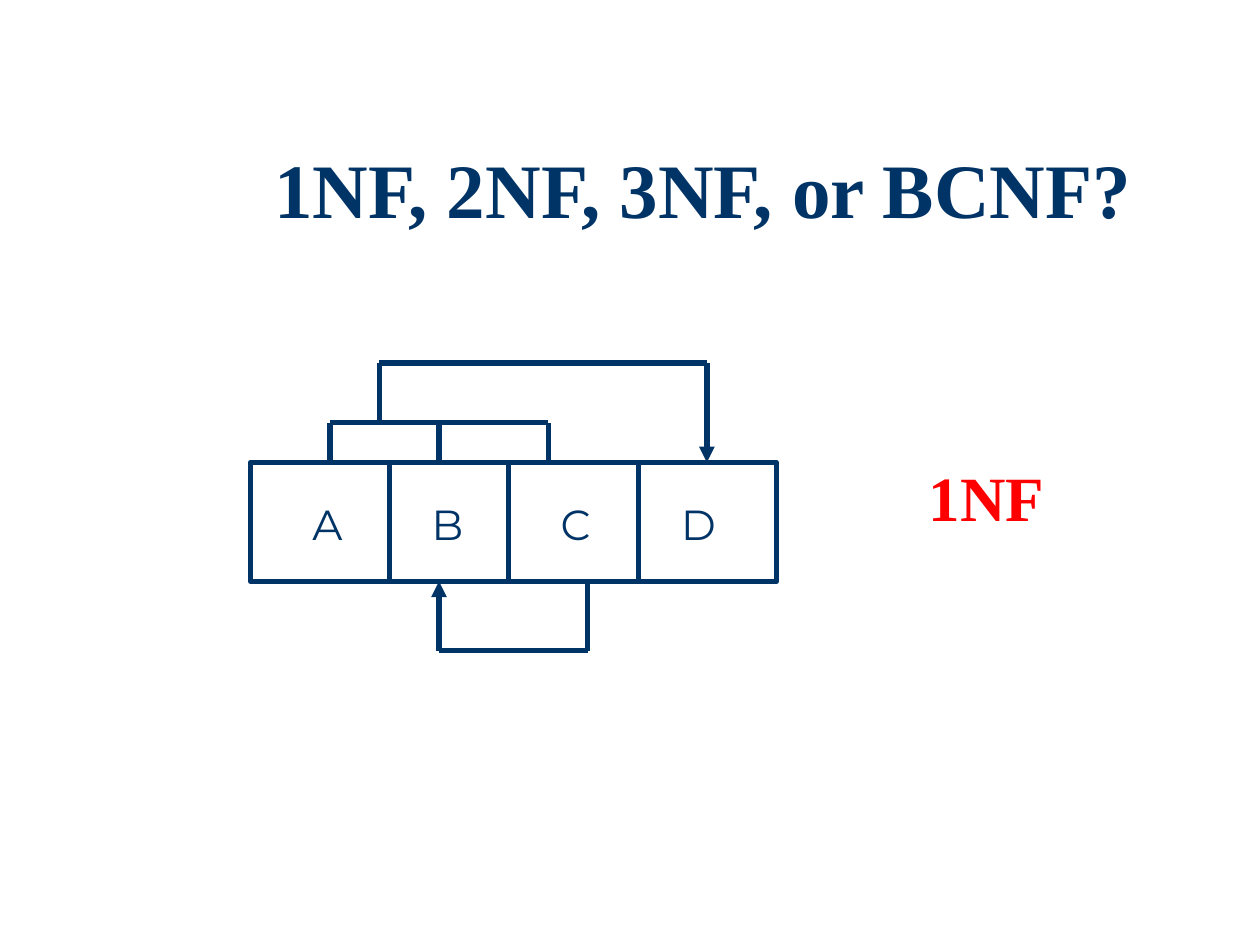
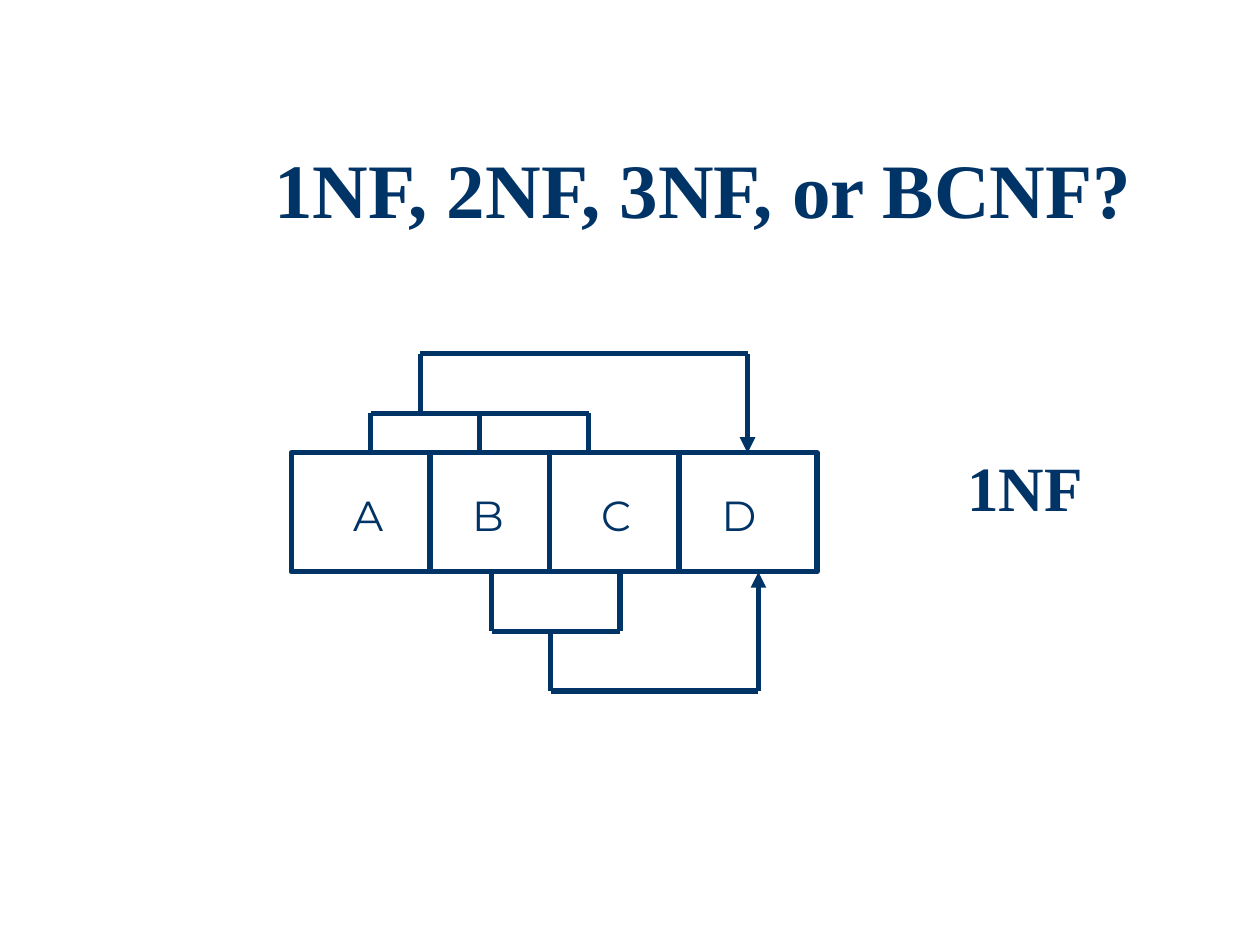
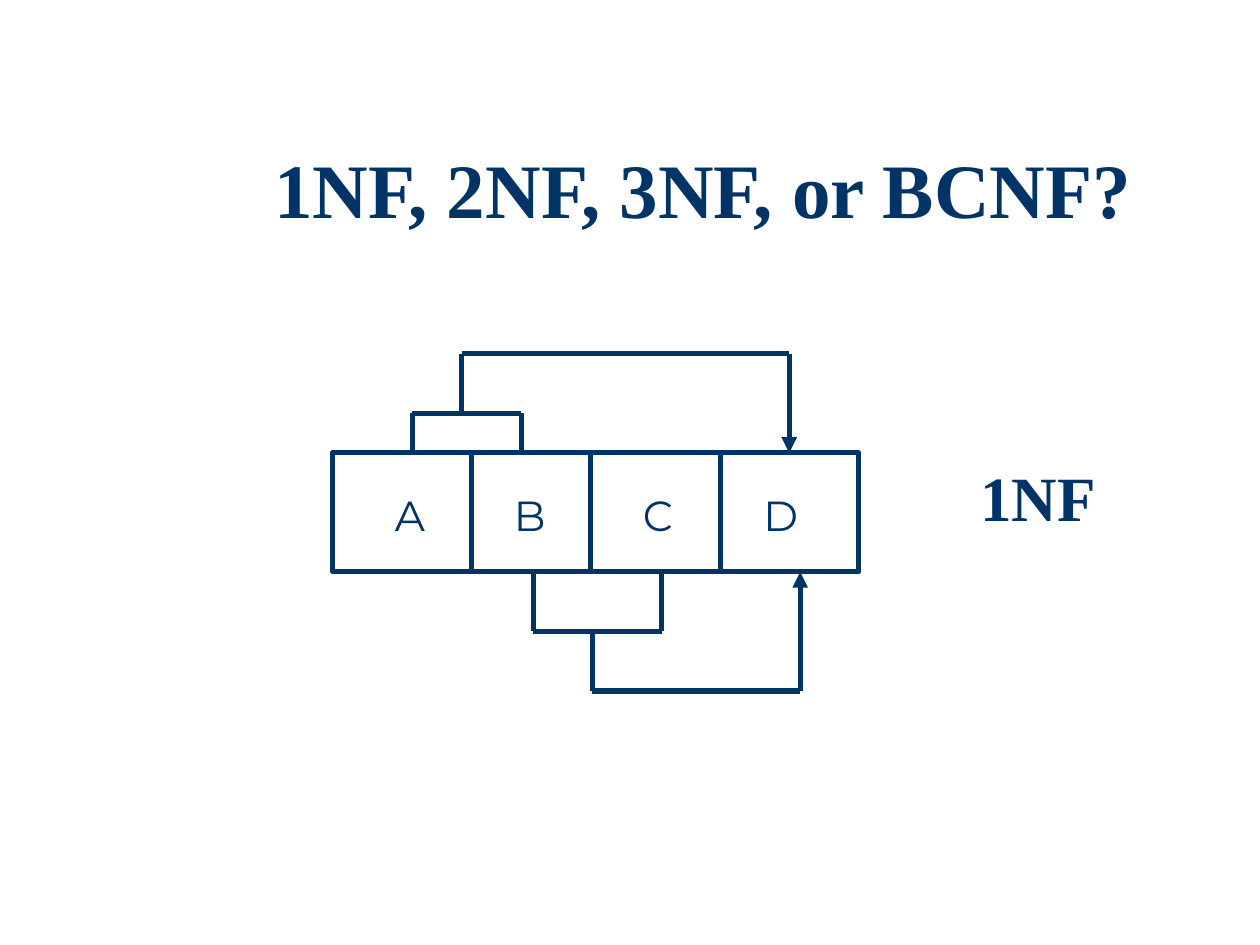
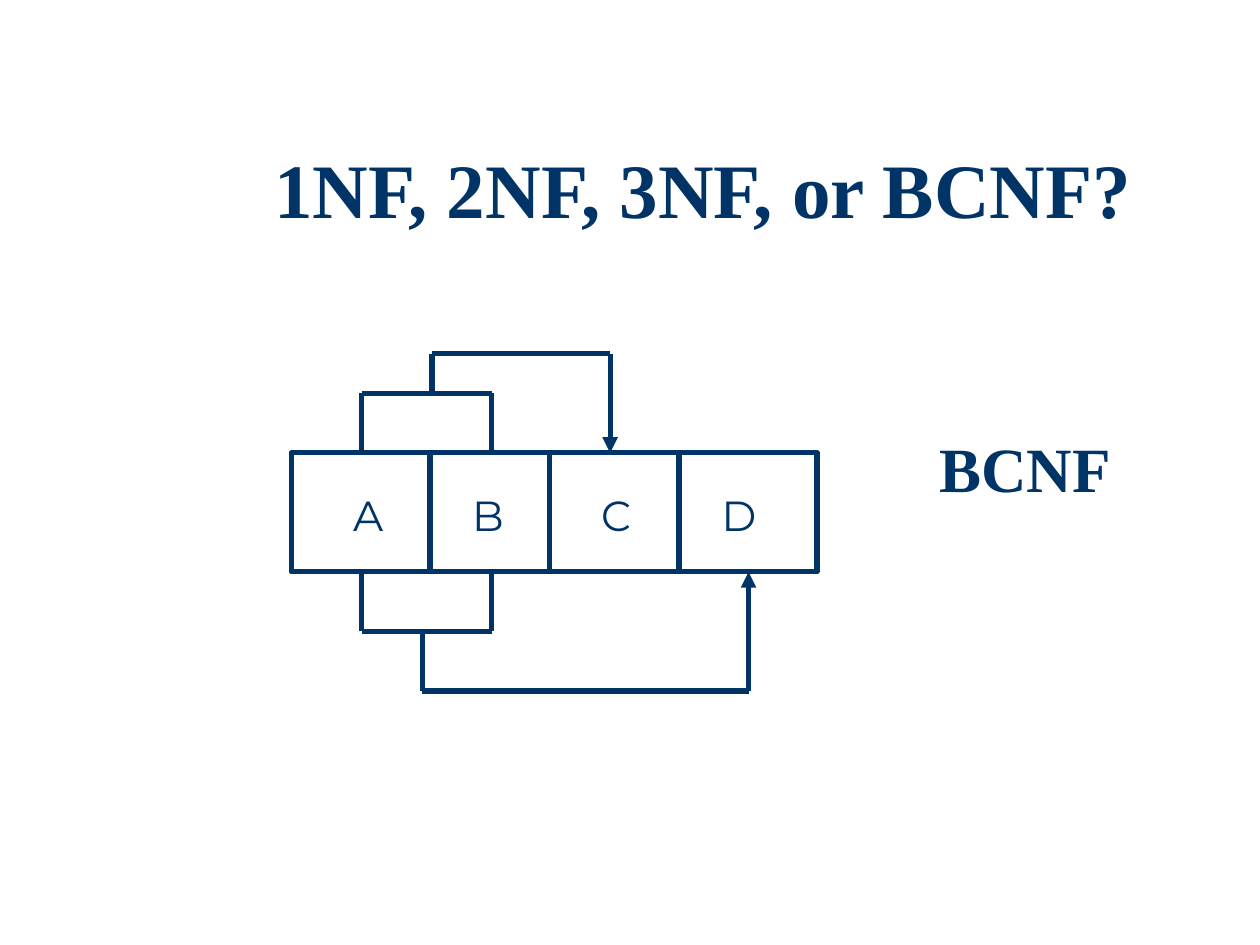
from lxml.etree import SubElement
from pptx import Presentation
from pptx.dml.color import RGBColor
from pptx.enum.shapes import MSO_CONNECTOR as Connector, MSO_SHAPE as Shape
from pptx.enum.text import MSO_ANCHOR as Anchor, MSO_AUTO_SIZE as AutoSize, PP_ALIGN as Align
from pptx.oxml.ns import qn
from pptx.util import Cm, Pt

NAVY, RED, WHITE = "003366", "FF0000", "FFFFFF"
SERIF, SANS = "Times New Roman", "Montserrat"
TITLE = "1NF, 2NF, 3NF, or BCNF?"
TITLE_ONLY = 5

# Relation geometry in cm; x offsets are measured from the relation's left side.
RELATION_WIDTH, RELATION_HEIGHT = 10.6, 2.4
DIVIDERS = (2.8, 5.2, 7.82)
ATTRIBUTES = {"A": 1.0, "B": 3.4, "C": 6.0, "D": 8.43}


def color(hex_code):
    return RGBColor.from_string(hex_code)


def style_runs(paragraph, font_name, size, hex_code, bold=False):
    for run in paragraph.runs:
        run.font.name = font_name
        run.font.size = Pt(size)
        run.font.bold = bold
        run.font.color.rgb = color(hex_code)


def add_title(slide):
    title = slide.shapes.title
    title.left, title.top, title.width, title.height = Cm(4.01), Cm(2.74), Cm(20.32), Cm(2.34)
    frame = title.text_frame
    frame.text = TITLE
    frame.vertical_anchor = Anchor.MIDDLE
    heading = frame.paragraphs[0]
    heading.alignment = Align.CENTER
    heading.line_spacing = 0.9
    style_runs(heading, SERIF, 44, NAVY, bold=True)


def add_label(slide, text, left, top, width, height, font_name, size, hex_code, bold=False):
    label = slide.shapes.add_textbox(Cm(left), Cm(top), Cm(width), Cm(height))
    frame = label.text_frame
    frame.text = text
    frame.word_wrap = False
    frame.auto_size = AutoSize.SHAPE_TO_FIT_TEXT
    style_runs(frame.paragraphs[0], font_name, size, hex_code, bold)


def add_line(slide, start, end, arrow=False):
    line = slide.shapes.add_connector(Connector.STRAIGHT, *map(Cm, (*start, *end)))
    line.line.color.rgb = color(NAVY)
    line.line.width = Pt(3)
    if arrow:
        SubElement(line.line._get_or_add_ln(), qn("a:tailEnd"), type="triangle")
    SubElement(line._element.spPr, qn("a:effectLst"))


def add_relation(slide, left, top):
    """Draw the box of attributes A to D."""
    relation = slide.shapes.add_shape(
        Shape.RECTANGLE, Cm(left), Cm(top), Cm(RELATION_WIDTH), Cm(RELATION_HEIGHT))
    relation.shadow.inherit = False
    relation.fill.solid()
    relation.fill.fore_color.rgb = color(WHITE)
    relation.line.color.rgb = color(NAVY)
    relation.line.width = Pt(3)
    for offset in DIVIDERS:
        add_line(slide, (left + offset, top), (left + offset, top + RELATION_HEIGHT))
    for name, offset in ATTRIBUTES.items():
        add_label(slide, name, left + offset, top + 0.61, 1.17, 1.27, SANS, 24, NAVY)


def add_dependency(slide, left, top, side, sources, stem, target, bar, turn):
    """Join the sources by a bar, then lead from the stem to the target.

    bar and turn are distances from the relation's edge on the given side.
    """
    edge, direction = (top, -1) if side == "above" else (top + RELATION_HEIGHT, 1)
    bar_y, turn_y = edge + direction * bar, edge + direction * turn
    xs = [left + source for source in sources]
    stem_x, target_x = left + stem, left + target
    if bar:
        for x in xs:
            add_line(slide, (x, edge), (x, bar_y))
        add_line(slide, (xs[0], bar_y), (xs[-1], bar_y))
    add_line(slide, (stem_x, bar_y), (stem_x, turn_y))
    add_line(slide, (stem_x, turn_y), (target_x, turn_y))
    add_line(slide, (target_x, turn_y), (target_x, edge), arrow=True)


ABC_TO_D = ("above", (1.6, 3.8, 6.0), 2.6, 9.2, 0.8, 2.0)
AB_TO_D = ("above", (1.6, 3.8), 2.6, 9.2, 0.8, 2.0)
AB_TO_C = ("above", (1.42, 4.04), 2.84, 6.43, 1.2, 2.0)
C_TO_B = ("below", (6.8,), 6.8, 3.8, 0, 1.4)
BC_TO_D = ("below", (4.04, 6.63), 5.23, 9.42, 1.2, 2.4)
AB_TO_D_BELOW = ("below", (1.42, 4.04), 2.64, 9.22, 1.2, 2.4)

# Relation position, dependencies, then the answer: text, left, top, width, colour.
EXERCISES = (
    ((5.05, 9.32), (ABC_TO_D, C_TO_B), ("1NF", 18.47, 9.12, 2.84, RED)),
    ((5.87, 9.13), (ABC_TO_D, BC_TO_D), ("1NF", 19.25, 8.92, 2.84, NAVY)),
    ((6.71, 9.13), (AB_TO_D, BC_TO_D), ("1NF", 19.51, 9.12, 2.84, NAVY)),
    ((5.87, 9.13), (AB_TO_C, AB_TO_D_BELOW), ("BCNF", 18.69, 8.53, 3.96, NAVY)),
)


def main():
    deck = Presentation()
    deck.slide_width, deck.slide_height = Cm(25.4), Cm(19.05)
    for position, dependencies, (answer, left, top, width, hex_code) in EXERCISES:
        slide = deck.slides.add_slide(deck.slide_layouts[TITLE_ONLY])
        slide.background.fill.solid()
        slide.background.fill.fore_color.rgb = color(WHITE)
        add_title(slide)
        add_relation(slide, *position)
        for dependency in dependencies:
            add_dependency(slide, *position, *dependency)
        add_label(slide, answer, left, top, width, 1.78, SERIF, 36, hex_code, bold=True)
    deck.save("out.pptx")


if __name__ == "__main__":
    main()
